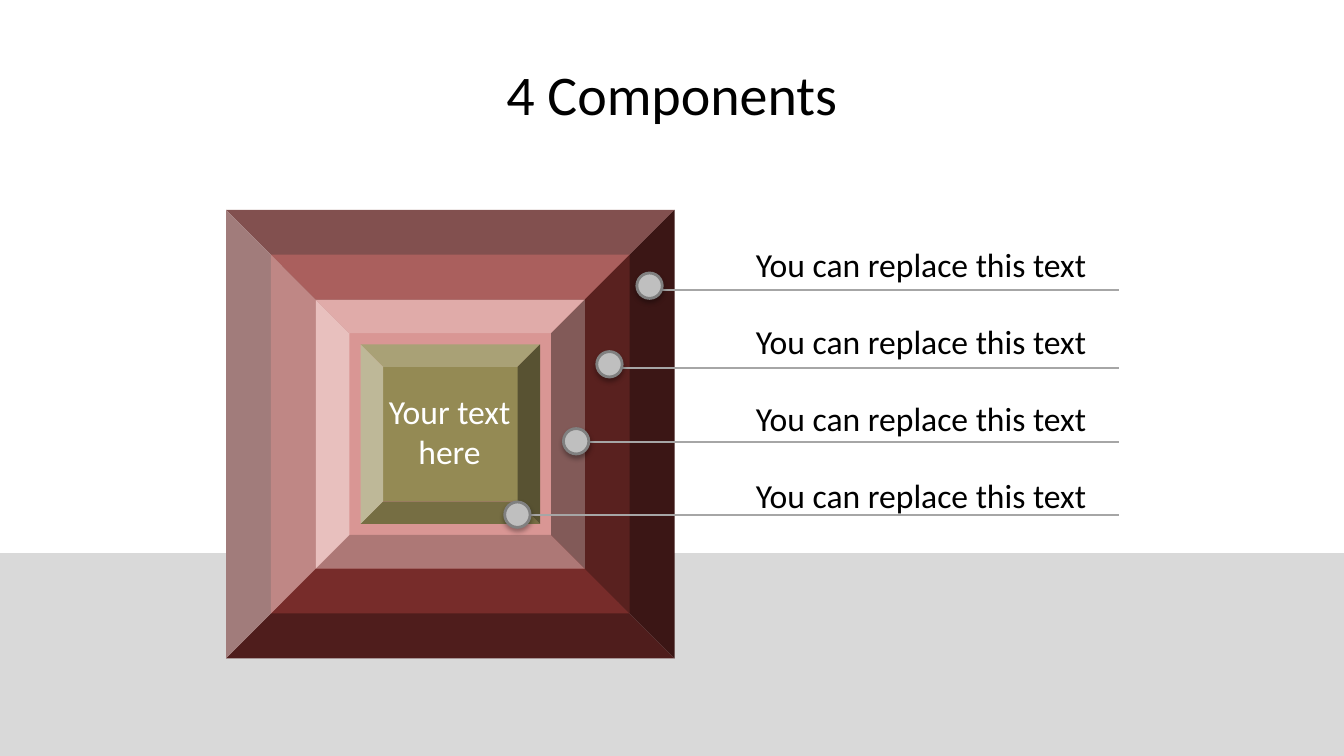
from lxml import etree
from pptx import Presentation
from pptx.dml.color import RGBColor
from pptx.enum.shapes import MSO_CONNECTOR as Connector, MSO_SHAPE as Shape
from pptx.enum.text import MSO_ANCHOR as Anchor, MSO_AUTO_SIZE as AutoSize, PP_ALIGN as Align
from pptx.oxml.ns import qn
from pptx.util import Cm, Pt

WIDTH, HEIGHT = 33.87, 19.05
TITLE_ONLY = 5


def color(hex_code):
    return RGBColor.from_string(hex_code)


def write(frame, text, size=24, ink="000000", font="Calibri", align=Align.LEFT,
          anchor=Anchor.TOP, wrap=True, fit=AutoSize.SHAPE_TO_FIT_TEXT):
    frame.word_wrap = wrap
    frame.auto_size = fit
    frame.vertical_anchor = anchor
    paragraph = frame.paragraphs[0]
    paragraph.alignment = align
    run = paragraph.add_run()
    run.text = text
    run.font.name, run.font.size = font, Pt(size)
    run.font.color.rgb = color(ink)


class ComponentSlide:
    line_ink, dot_fill, dot_ink = "A6A6A6", "BFBFBF", "808080"
    dot_size = 0.64

    def __init__(self, slide):
        self.slide = slide

    def title(self, text, left, top, width, height):
        heading = self.slide.shapes.title
        heading.left, heading.top = Cm(left), Cm(top)
        heading.width, heading.height = Cm(width), Cm(height)
        write(heading.text_frame, text, size=40, align=Align.CENTER,
              anchor=Anchor.MIDDLE, fit=AutoSize.NONE)

    def block(self, kind, left, top, width, height, fill, parent=None):
        block = (parent or self.slide).shapes.add_shape(
            kind, Cm(left), Cm(top), Cm(width), Cm(height))
        block.shadow.inherit = False
        block.fill.solid()
        block.fill.fore_color.rgb = color(fill)
        block.line.fill.background()
        return block

    def label(self, text, left, top, width, height, parent=None, **style):
        box = (parent or self.slide).shapes.add_textbox(
            Cm(left), Cm(top), Cm(width), Cm(height))
        write(box.text_frame, text, **style)

    def leader(self, left, right, y, parent):
        leader = parent.shapes.add_connector(
            Connector.STRAIGHT, Cm(left), Cm(y), Cm(right), Cm(y))
        leader.line.color.rgb = color(self.line_ink)
        leader.line.width = Pt(1.5)
        etree.SubElement(leader._element.spPr, qn("a:effectLst"))

    def dot(self, left, top, parent):
        dot = self.block(Shape.OVAL, left, top, self.dot_size, self.dot_size,
                         self.dot_fill, parent)
        dot.line.color.rgb = color(self.dot_ink)
        dot.line.width = Pt(2)
        # Soft shadow straight below the dot
        effects = dot._element.spPr.find(qn("a:effectLst"))
        shadow = etree.SubElement(effects, qn("a:outerShdw"), blurRad=str(Pt(3.5)),
                                  dist=str(Pt(2.2)), dir="5400000", rotWithShape="0")
        black = etree.SubElement(shadow, qn("a:srgbClr"), val="000000")
        etree.SubElement(black, qn("a:alpha"), val="32000")

    def callout(self, text, dot_left, dot_top, line_y, text_top):
        group = self.slide.shapes.add_group_shape()
        self.leader(dot_left + 0.2, 28.19, line_y, group)
        self.dot(dot_left, dot_top, group)
        self.label(text, 18.8, text_top, 8.92, 1.27, group, wrap=False)


def main():
    deck = Presentation()
    deck.slide_width, deck.slide_height = Cm(WIDTH), Cm(HEIGHT)
    page = ComponentSlide(deck.slides.add_slide(deck.slide_layouts[TITLE_ONLY]))

    # Floor and title
    floor_top = 13.94
    page.block(Shape.RECTANGLE, 0, floor_top, WIDTH, HEIGHT - floor_top, "D9D9D9")
    page.title("4 Components", 1.69, 0.76, 30.48, 3.18)

    # Nested bevels around one centre, shrinking in equal steps
    center_x, center_y, step = 11.35, 10.94, 2.26
    for index, fill in enumerate(["632523", "953735", "D99694", "948A54"]):
        side = step * (5 - index)
        page.block(Shape.BEVEL, center_x - side / 2, center_y - side / 2, side, side, fill)
    page.label("Your text here", 8.89, 9.73, 4.88, 2.31, ink="FFFFFF", align=Align.CENTER)

    # Callouts: dot left, dot top, leader height
    anchors = [(16.05, 6.88, 7.3), (15.04, 8.86, 9.27),
               (14.2, 10.8, 11.13), (12.72, 12.65, 12.98)]
    for row, anchor in enumerate(anchors):
        page.callout("You can replace this text", *anchor, text_top=6.03 + 1.94 * row)

    deck.save("out.pptx")


if __name__ == "__main__":
    main()
